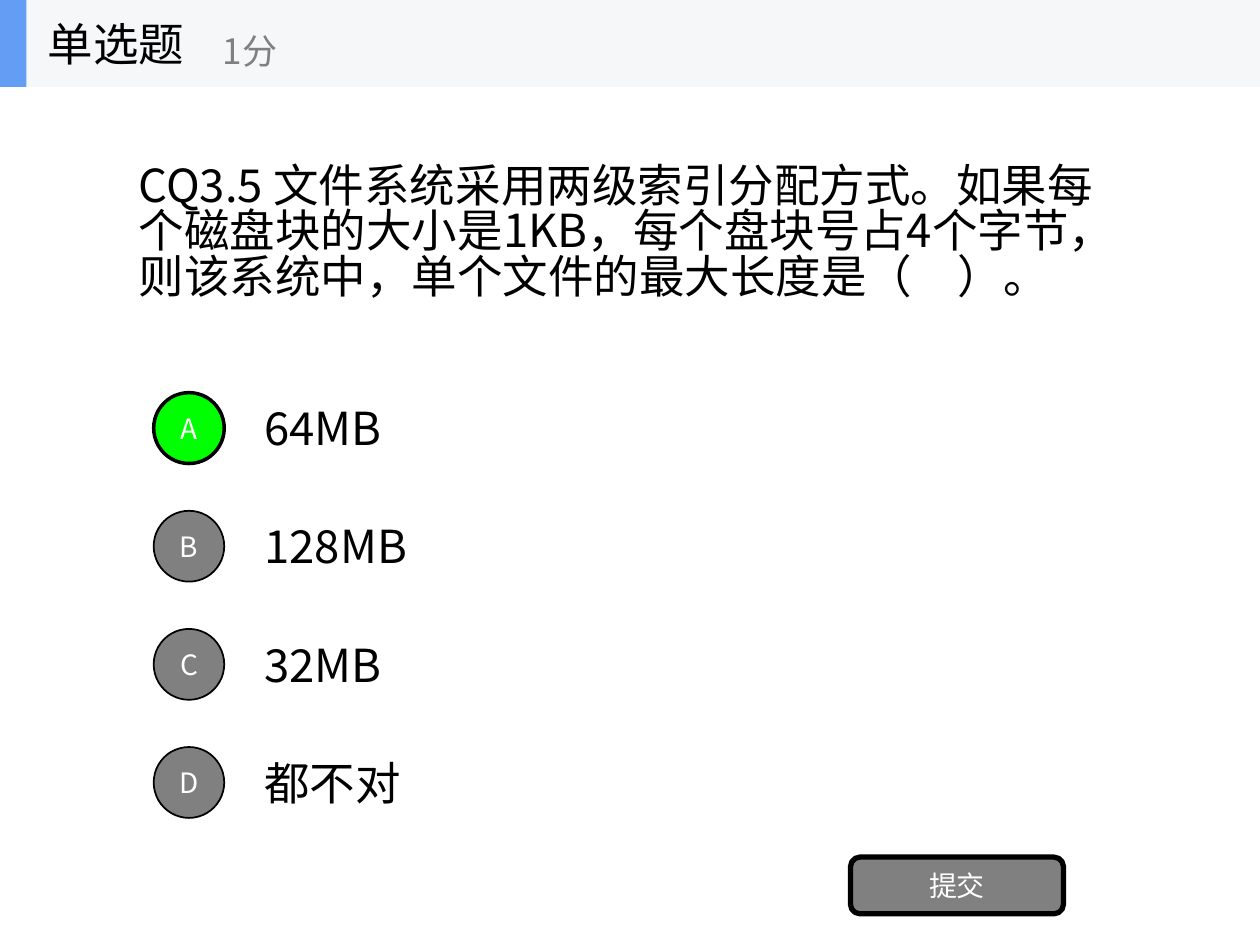
from pptx import Presentation
from pptx import util as u
from pptx.dml import color
from pptx.enum import shapes, text
from pptx.oxml import ns
from lxml import etree

COLORS = {
    "ink": "000000", "white": "FFFFFF", "gray": "808080",
    "correct": "00FF00", "bar": "F6F7F8", "accent": "639EF4",
}


class QuizSlide:
    """Holds the style and the current slide; places are percent of its size."""

    font = "Noto Sans CJK SC"

    def __init__(self, prs):
        self.prs = prs
        self.s = prs.slides.add_slide(prs.slide_layouts[5])

    def box(self, x, y, w, h):
        width, height = self.prs.slide_width, self.prs.slide_height
        return [u.Emu(round(share * side / 100)) for share, side in
                ((x, width), (y, height), (w, width), (h, height))]

    def rgb(self, name):
        return color.RGBColor.from_string(COLORS[name])

    def set_text(self, sp, words, size, ink, align=text.PP_ALIGN.LEFT, wrap=True):
        tf = sp.text_frame
        tf.auto_size = text.MSO_AUTO_SIZE.NONE
        tf.word_wrap = wrap
        tf.vertical_anchor = text.MSO_ANCHOR.MIDDLE
        p = tf.paragraphs[0]
        p.alignment = align
        r = p.add_run()
        r.text = words
        r.font.size = u.Pt(size)
        r.font.name = self.font
        r.font.color.rgb = self.rgb(ink)
        # East Asian glyphs take their typeface from a:ea
        ea = etree.SubElement(r.font._element, ns.qn("a:ea"))
        ea.set("typeface", self.font)
        return p

    def title(self, words, place, size=26):
        sp = self.s.shapes.title
        sp.left, sp.top, sp.width, sp.height = self.box(*place)
        p = self.set_text(sp, words, size, "ink")
        p.line_spacing = 0.83

    def label(self, words, place, size=26, ink="ink", wrap=True):
        sp = self.s.shapes.add_textbox(*self.box(*place))
        self.set_text(sp, words, size, ink, wrap=wrap)

    def shape(self, kind, place, fill, line=None, words=None):
        sp = self.s.shapes.add_shape(kind, *self.box(*place))
        sp.shadow.inherit = False
        sp.fill.solid()
        sp.fill.fore_color.rgb = self.rgb(fill)
        if line:
            sp.line.color.rgb = self.rgb("ink")
            sp.line.width = u.Pt(line)
        else:
            sp.line.fill.background()
        if words:
            tf = sp.text_frame
            tf.margin_left = tf.margin_right = tf.margin_top = tf.margin_bottom = 0
            self.set_text(sp, words, 16, "white", text.PP_ALIGN.CENTER)


def main():
    prs = Presentation()
    prs.slide_width, prs.slide_height = u.Inches(10), u.Inches(7.5)
    quiz = QuizSlide(prs)
    kinds = shapes.MSO_SHAPE

    # Question
    quiz.title("CQ3.5 文件系统采用两级索引分配方式。如果每个磁盘块的大小是1KB，"
               "每个盘块号占4个字节，则该系统中，单个文件的最大长度是（　）。",
               (10, 9.2, 80, 31.2))

    # Answer options, one per row
    options = [("A", "64MB"), ("B", "128MB"), ("C", "32MB"), ("D", "都不对")]
    row_top, row_step, correct = 40.6, 12.5, "A"
    for i, (letter, answer) in enumerate(options):
        y = row_top + i * row_step
        fill, line = ("correct", 2) if letter == correct else ("gray", 1)
        quiz.label(answer, (20, y, 70, 9.3))
        quiz.shape(kinds.OVAL, (12.2, y + 0.95, 5.6, 7.5), fill, line, letter)

    # Submit button
    quiz.shape(kinds.ROUNDED_RECTANGLE, (67.5, 90.7, 16.9, 6), "gray", 3, "提交")

    # Header bar with question type and score
    quiz.shape(kinds.RECTANGLE, (0, 0, 100, 9.2), "bar")
    quiz.shape(kinds.RECTANGLE, (0, 0, 2.1, 9.2), "accent")
    quiz.label("单选题", (2.8, 0, 20.8, 9.2), wrap=False)
    quiz.label("1分", (16.7, 1.6, 25, 7.5), size=20, ink="gray", wrap=False)

    prs.save("out.pptx")


if __name__ == "__main__":
    main()
